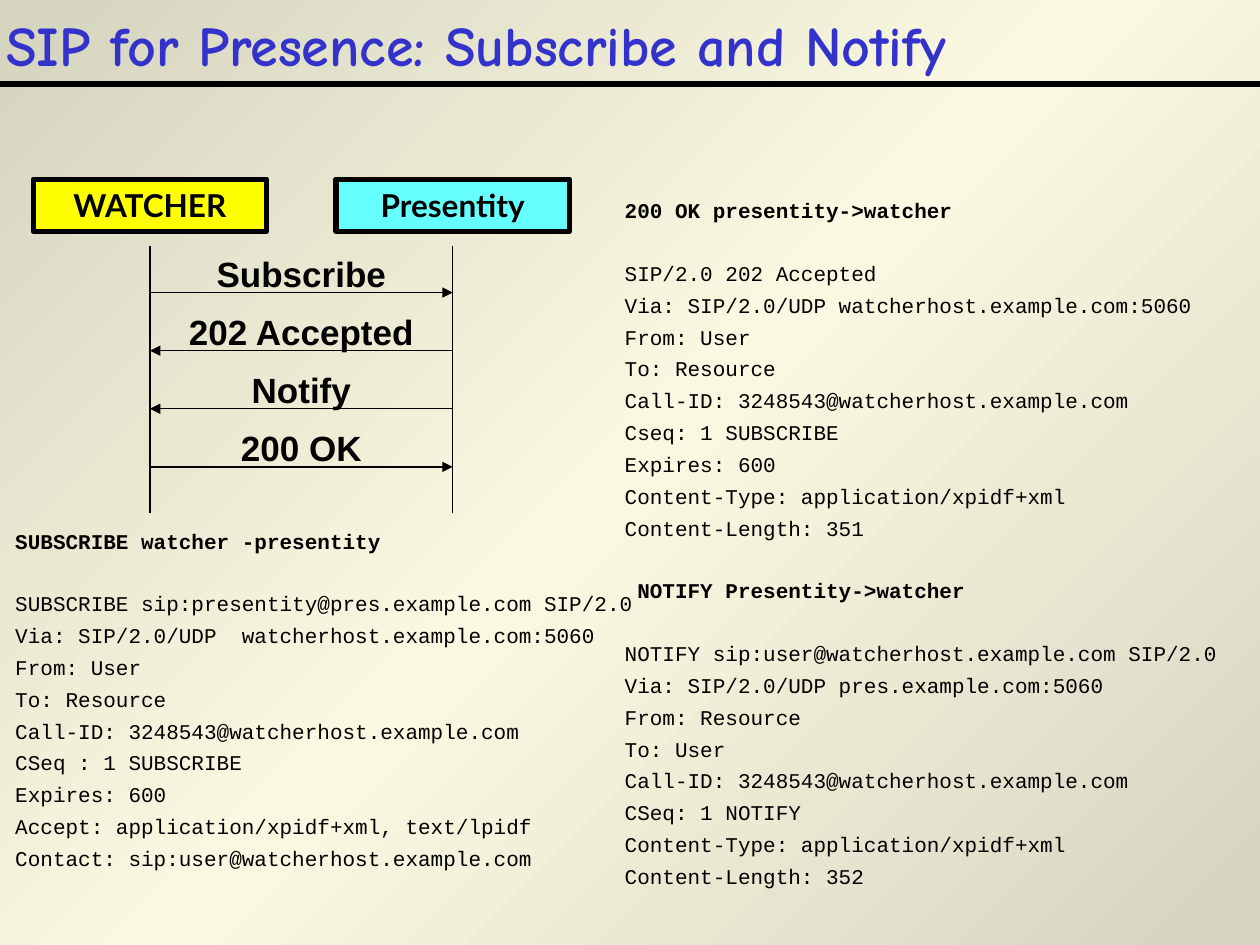
from copy import deepcopy
from pptx import Presentation
from pptx.dml.color import RGBColor
from pptx.enum import shapes, text
from pptx.oxml import ns
from pptx.util import Pt

HUES = {"black": "000000", "blue": "3333CC", "yellow": "FFFF00",
        "cyan": "66FFFF", "khaki": "D5D4BF", "cream": "FAF8E0"}
PITCH = 17.6
GAP = 8.1

CALLS = [("Subscribe", True), ("202 Accepted", False),
         ("Notify", False), ("200 OK", True)]

SUBSCRIBE = ("SUBSCRIBE watcher -presentity", """\
SUBSCRIBE sip:presentity@pres.example.com SIP/2.0
Via: SIP/2.0/UDP  watcherhost.example.com:5060
From: User
To: Resource
Call-ID: 3248543@watcherhost.example.com
CSeq : 1 SUBSCRIBE
Expires: 600
Accept: application/xpidf+xml, text/lpidf
Contact: sip:user@watcherhost.example.com""", 0)

ACCEPT = ("200 OK presentity->watcher", """\
SIP/2.0 202 Accepted
Via: SIP/2.0/UDP watcherhost.example.com:5060
From: User
To: Resource
Call-ID: 3248543@watcherhost.example.com
Cseq: 1 SUBSCRIBE
Expires: 600
Content-Type: application/xpidf+xml
Content-Length: 351""", 0)

NOTIFY = ("NOTIFY Presentity->watcher", """\
NOTIFY sip:user@watcherhost.example.com SIP/2.0
Via: SIP/2.0/UDP pres.example.com:5060
From: Resource
To: User
Call-ID: 3248543@watcherhost.example.com
CSeq: 1 NOTIFY
Content-Type: application/xpidf+xml
Content-Length: 352""", 7.2)


def rgb(name):
    return RGBColor.from_string(HUES[name])


def put(para, words, font="Arial", size=20, hue="black", bold=True,
        align="LEFT", before=0, lead=None, indent=0):
    if indent:
        props = para._p.get_or_add_pPr()
        props.set("marL", str(Pt(indent)))
        props.set("indent", "0")
    para.alignment = getattr(text.PP_ALIGN, align)
    para.space_before = Pt(before)
    if lead:
        para.line_spacing = lead
    run = para.add_run()
    run.text = words
    run.font.name = font
    run.font.size = Pt(size)
    run.font.bold = bold
    run.font.color.rgb = rgb(hue)


def frame(shape, anchor="TOP", side=8, edge=4):
    body = shape.text_frame
    body.word_wrap = True
    body.vertical_anchor = getattr(text.MSO_ANCHOR, anchor)
    body.margin_left = body.margin_right = Pt(side)
    body.margin_top = body.margin_bottom = Pt(edge)
    return body


def textbox(slide, box, **style):
    return frame(slide.shapes.add_textbox(*map(Pt, box)), **style)


def rule(slide, start, stop, width=0.75, arrow=False):
    line = slide.shapes.add_connector(
        shapes.MSO_CONNECTOR.STRAIGHT, *map(Pt, (*start, *stop)))
    line.line.color.rgb = rgb("black")
    line.line.width = Pt(width)
    if arrow:
        tail = line.line._get_or_add_ln().makeelement(ns.qn("a:tailEnd"), {"type": "triangle"})
        line.line._get_or_add_ln().append(tail)
    props = line._element.spPr
    props.append(props.makeelement(ns.qn("a:effectLst"), {}))


def backdrop(slide):
    fill = slide.background.fill
    fill.gradient()
    fill.gradient_angle = 135
    stops = slide.element.find(".//" + ns.qn("a:gsLst"))
    stops.append(deepcopy(stops[0]))
    marks = [(0, "khaki"), (0.5, "cream"), (1, "khaki")]
    for stop, (place, hue) in zip(fill.gradient_stops, marks):
        stop.position = place
        stop.color.rgb = rgb(hue)


def header(slide, box):
    left, top, width, height = box
    body = textbox(slide, (left - 3.6, top + 15, 696, 20),
                   anchor="MIDDLE", side=7.2, edge=3.6)
    put(body.paragraphs[0], "SIP for Presence: Subscribe and Notify",
        font="Comic Neue", size=32, hue="blue")
    rule(slide, (left, top + height), (left + width, top + height), width=3)


def actor(slide, box, name, hue):
    shape = slide.shapes.add_shape(shapes.MSO_SHAPE.RECTANGLE, *map(Pt, box))
    shape.shadow.inherit = False
    shape.fill.solid()
    shape.fill.fore_color.rgb = rgb(hue)
    shape.line.color.rgb = rgb("black")
    shape.line.width = Pt(3)
    put(frame(shape, anchor="MIDDLE").paragraphs[0], name,
        font="Lato", size=18, align="CENTER")


def sequence(slide, box):
    left, top, width, height = box
    wide, tall, step = 133.4, 29.8, 33.2
    ends = left + wide / 2, left + width - wide / 2
    actors = [("WATCHER", "yellow"), ("Presentity", "cyan")]
    for mid, (name, hue) in zip(ends, actors):
        actor(slide, (mid - wide / 2, top, wide, tall), name, hue)
        rule(slide, (mid, top + 38), (mid, top + height))
    for row, (name, ahead) in enumerate(CALLS):
        y = top + 38 + row * step
        start, stop = ends if ahead else ends[::-1]
        rule(slide, (start, y + 26.8), (stop, y + 26.8), arrow=True)
        body = textbox(slide, (ends[0], y, ends[1] - ends[0], 31.7))
        put(body.paragraphs[0], name, align="CENTER")


def listing(slide, box, parts, anchor):
    body = textbox(slide, box, anchor=anchor)
    code = {"font": "Courier New", "size": 12, "lead": 0.7}
    para = body.paragraphs[0]
    for head, lines, indent in parts:
        if para is None:
            para = body.add_paragraph()
            before = GAP + PITCH
        else:
            before = 0
        put(para, head, before=before, indent=indent, **code)
        for row, words in enumerate(lines.splitlines()):
            before = GAP if row else GAP + PITCH
            put(body.add_paragraph(), words, bold=False, before=before, **code)
        para = None


def main():
    deck = Presentation()
    deck.slide_width, deck.slide_height = Pt(720), Pt(540)
    slide = deck.slides.add_slide(deck.slide_layouts[6])
    backdrop(slide)
    header(slide, (0, 0, 720, 48))
    sequence(slide, (19, 102.4, 306.4, 190.6))
    listing(slide, (0.7, 304.6, 370, 193.7), [SUBSCRIBE], "MIDDLE")
    listing(slide, (349, 113, 360, 391.7), [ACCEPT, NOTIFY], "TOP")
    deck.save("out.pptx")


if __name__ == "__main__":
    main()
